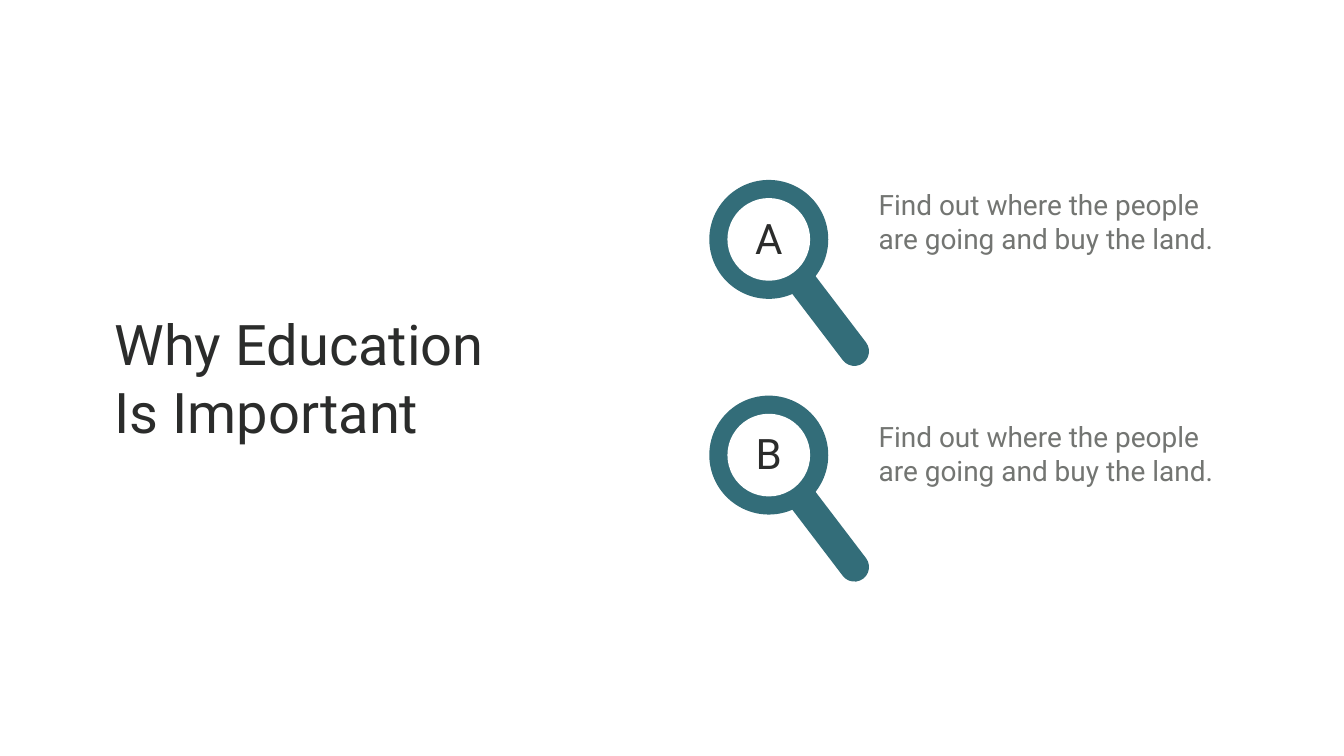
"""Build a title slide with two lettered magnifiers and their captions."""
from pptx import Presentation
from pptx.dml.color import RGBColor
from pptx.enum.shapes import MSO_SHAPE as Kind
from pptx.enum.text import MSO_ANCHOR as Anchor, MSO_AUTO_SIZE as Fit, PP_ALIGN as Align
from pptx.util import Inches, Pt

WIDE, HIGH = 26.66, 15
TEAL, WHITE, DARK, GRAY = "336D79", "FFFFFF", "2B2C2B", "737572"
LENS_X, LENS_Y, LENS_GAP = 15.25, 4.75, 4.28
NOTE_X, NOTE_Y, NOTE_GAP = 17.33, 3.68, 4.6
NOTE = "Find out where the people are going and buy the land."


def paint(fill, color):
    fill.solid()
    fill.fore_color.rgb = RGBColor.from_string(color)


def place(shape, x, y, w, h):
    shape.left, shape.top = Inches(x), Inches(y)
    shape.width, shape.height = Inches(w), Inches(h)


def write(shape, text, size=40, color=DARK, align=Align.LEFT):
    frame = shape.text_frame
    frame.word_wrap = True
    frame.auto_size = Fit.NONE
    frame.vertical_anchor = Anchor.TOP
    frame.text = text
    para = frame.paragraphs[0]
    para.alignment = align
    font = para.runs[0].font
    font.name, font.size = "Roboto", Pt(size)
    font.color.rgb = RGBColor.from_string(color)


def label(slide, text, x, y, w, h, **style):
    box = slide.shapes.add_textbox(0, 0, 0, 0)
    place(box, x, y, w, h)
    write(box, text, **style)


def form(slide, kind, x, y, w, h, color):
    shape = slide.shapes.add_shape(kind, 0, 0, 0, 0)
    place(shape, x - w / 2, y - h / 2, w, h)
    paint(shape.fill, color)
    shape.line.fill.background()
    shape.shadow.inherit = False
    return shape


def lens(slide, text, x, y):
    grip = form(slide, Kind.ROUNDED_RECTANGLE, x + 1.18, y + 1.54, 2.29, 0.58, TEAL)
    grip.adjustments[0] = 0.5
    grip.rotation = 52.7
    form(slide, Kind.OVAL, x, y, 2.36, 2.36, TEAL)
    form(slide, Kind.OVAL, x, y, 1.64, 1.64, WHITE)
    label(slide, text, x - 1.2, y - 0.59, 2.4, 1.11, size=60, align=Align.CENTER)


def main():
    deck = Presentation()
    deck.slide_width, deck.slide_height = Inches(WIDE), Inches(HIGH)
    slide = deck.slides.add_slide(deck.slide_layouts[5])
    paint(slide.background.fill, WHITE)
    title = slide.shapes.title
    place(title, 2.17, 6.1, 7.97, 2.79)
    write(title, "Why Education Is Important", size=80)
    for row, mark in enumerate("AB"):
        lens(slide, mark, LENS_X, LENS_Y + row * LENS_GAP)
        label(slide, NOTE, NOTE_X, NOTE_Y + row * NOTE_GAP, 7.18, 1.45, color=GRAY)
    deck.save("out.pptx")


if __name__ == "__main__":
    main()
